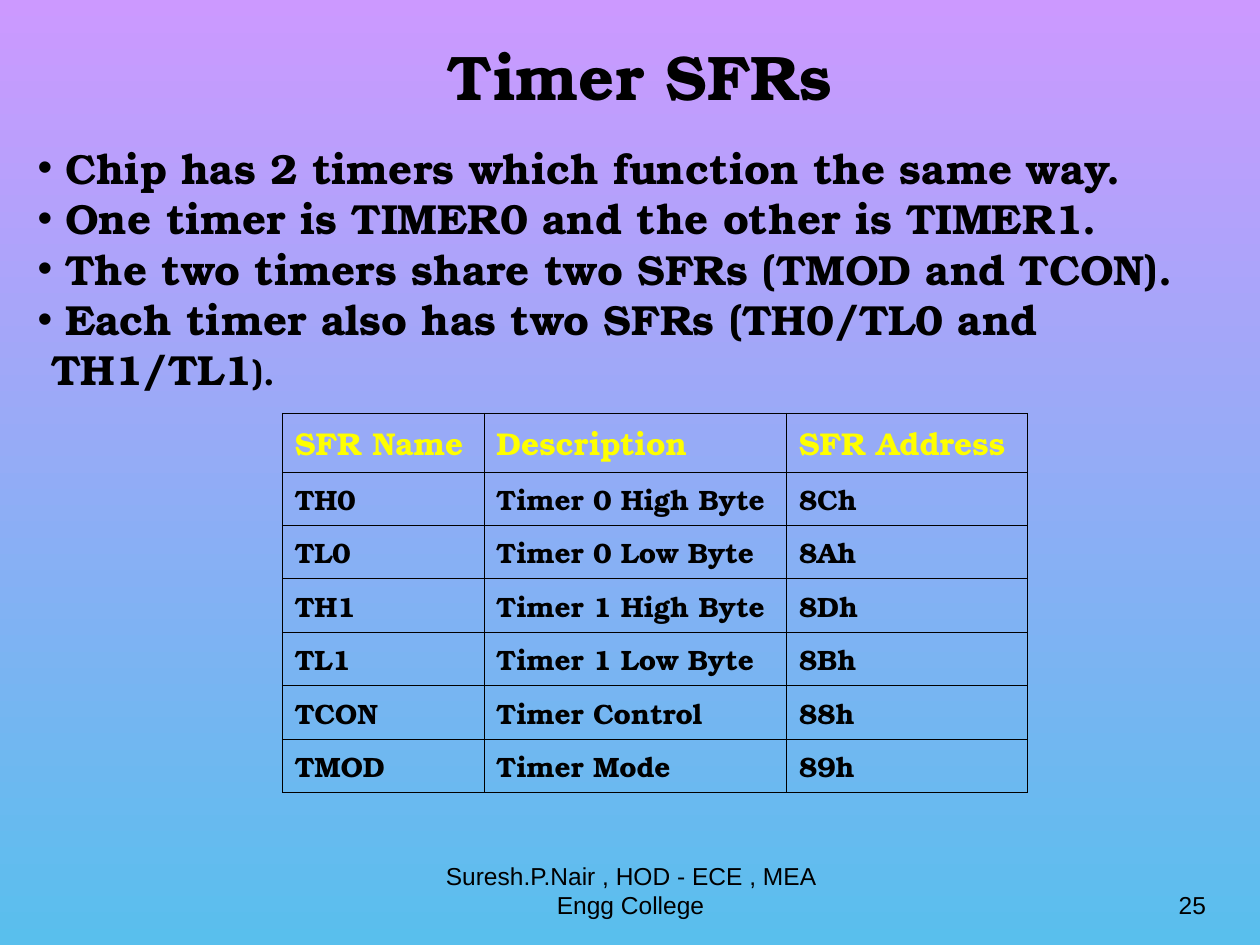
from lxml import etree
from pptx import Presentation
from pptx import util as u
from pptx.dml.color import RGBColor
from pptx.enum import text
from pptx.oxml import ns

BLACK = RGBColor(0x00, 0x00, 0x00)
YELLOW = RGBColor(0xFF, 0xFF, 0x00)
VIOLET = RGBColor(0xCC, 0x99, 0xFF)
SKY = RGBColor(0x59, 0xBF, 0xED)

BULLETS = [
    "Chip has 2 timers which function the same way.",
    "One timer is TIMER0 and the other is TIMER1.",
    "The two timers share two SFRs (TMOD and TCON).",
    "Each timer also has two SFRs (TH0/TL0 and",
]
REGISTERS = [
    ("SFR Name", "Description", "SFR Address"),
    ("TH0", "Timer 0 High Byte", "8Ch"),
    ("TL0", "Timer 0 Low Byte", "8Ah"),
    ("TH1", "Timer 1 High Byte", "8Dh"),
    ("TL1", "Timer 1 Low Byte", "8Bh"),
    ("TCON", "Timer Control", "88h"),
    ("TMOD", "Timer Mode", "89h"),
]


class SlideBuilder:
    serif = "TeX Gyre Bonum"
    sans = "Arial"

    def __init__(self, deck):
        self.page = deck.slides.add_slide(deck.slide_layouts[5])

    def background(self, top, bottom):
        fill = self.page.background.fill
        fill.gradient()
        fill.gradient_angle = 270
        for stop, color, position in zip(fill.gradient_stops, (top, bottom), (0, 1)):
            stop.color.rgb = color
            stop.position = position

    def span(self, para, words, size, color=BLACK, font=serif, bold=True):
        span = para.add_run()
        span.text = words
        span.font.size = u.Pt(size)
        span.font.name = font
        span.font.bold = bold
        span.font.color.rgb = color

    def frame(self, box, anchor):
        frame = box.text_frame
        frame.word_wrap = True
        frame.auto_size = text.MSO_AUTO_SIZE.NONE
        frame.vertical_anchor = anchor
        return frame

    def title(self, words, left, top, width, height):
        box = self.page.shapes.title
        box.left, box.top = u.Inches(left), u.Inches(top)
        box.width, box.height = u.Inches(width), u.Inches(height)
        para = self.frame(box, text.MSO_ANCHOR.MIDDLE).paragraphs[0]
        para.alignment = text.PP_ALIGN.CENTER
        self.span(para, words, 36)

    def text_box(self, left, top, width, height, anchor):
        box = self.page.shapes.add_textbox(
            u.Inches(left), u.Inches(top), u.Inches(width), u.Inches(height))
        return self.frame(box, anchor)

    def indent(self, para, margin, first=0.0):
        props = para._p.get_or_add_pPr()
        props.set("marL", str(u.Inches(margin)))
        props.set("indent", str(u.Inches(first)))
        return props

    def bullet_list(self, items, tail, left, top, width, height):
        frame = self.text_box(left, top, width, height, text.MSO_ANCHOR.TOP)
        for index, item in enumerate(items):
            para = frame.paragraphs[0] if index == 0 else frame.add_paragraph()
            props = self.indent(para, 0.22, -0.22)
            etree.SubElement(props, ns.qn("a:buFont"), typeface=self.sans)
            etree.SubElement(props, ns.qn("a:buChar"), char="•")
            self.span(para, item, 24)
        para = frame.add_paragraph()
        self.indent(para, 0.11)
        for words, size in tail:
            self.span(para, words, size)

    def footer(self, words, left, width, alignment):
        frame = self.text_box(left, 6.83, width, 0.52, text.MSO_ANCHOR.BOTTOM)
        para = frame.paragraphs[0]
        para.alignment = alignment
        self.span(para, words, 14, font=self.sans, bold=False)

    def borders(self, cell):
        props = cell._tc.get_or_add_tcPr()
        for index, side in enumerate(("a:lnL", "a:lnR", "a:lnT", "a:lnB")):
            line = etree.Element(ns.qn(side), w=str(u.Pt(0.45)))
            fill = etree.SubElement(line, ns.qn("a:solidFill"))
            etree.SubElement(fill, ns.qn("a:srgbClr"), val=str(BLACK))
            props.insert(index, line)

    def table(self, rows, widths, left, top, height):
        table = self.page.shapes.add_table(
            len(rows), len(widths), u.Inches(left), u.Inches(top),
            u.Inches(sum(widths)), u.Inches(height)).table
        table.first_row = False
        table.horz_banding = False
        for column, width in zip(table.columns, widths):
            column.width = u.Inches(width)
        for r, row in enumerate(rows):
            size, color = (18, YELLOW) if r == 0 else (16, BLACK)
            for c, words in enumerate(row):
                cell = table.cell(r, c)
                cell.fill.background()
                cell.vertical_anchor = text.MSO_ANCHOR.MIDDLE
                self.span(cell.text_frame.paragraphs[0], words, size, color)
                self.borders(cell)


def main():
    deck = Presentation()
    deck.slide_width, deck.slide_height = u.Inches(10), u.Inches(7.5)
    slide = SlideBuilder(deck)
    slide.background(VIOLET, SKY)
    slide.title("Timer SFRs", 0.2, 0.25, 9.76, 0.7)
    slide.bullet_list(BULLETS, [("TH1/TL1", 24), (").", 20)], 0.2, 1.08, 9.8, 2.1)
    slide.table(REGISTERS, (1.6, 2.4, 1.91), 2.24, 3.28, 2.91)
    slide.footer("Suresh.P.Nair , HOD - ECE , MEA Engg College", 3.42, 3.17,
                 text.PP_ALIGN.CENTER)
    slide.footer("25", 7.17, 2.5, text.PP_ALIGN.RIGHT)
    deck.save("out.pptx")


if __name__ == "__main__":
    main()
